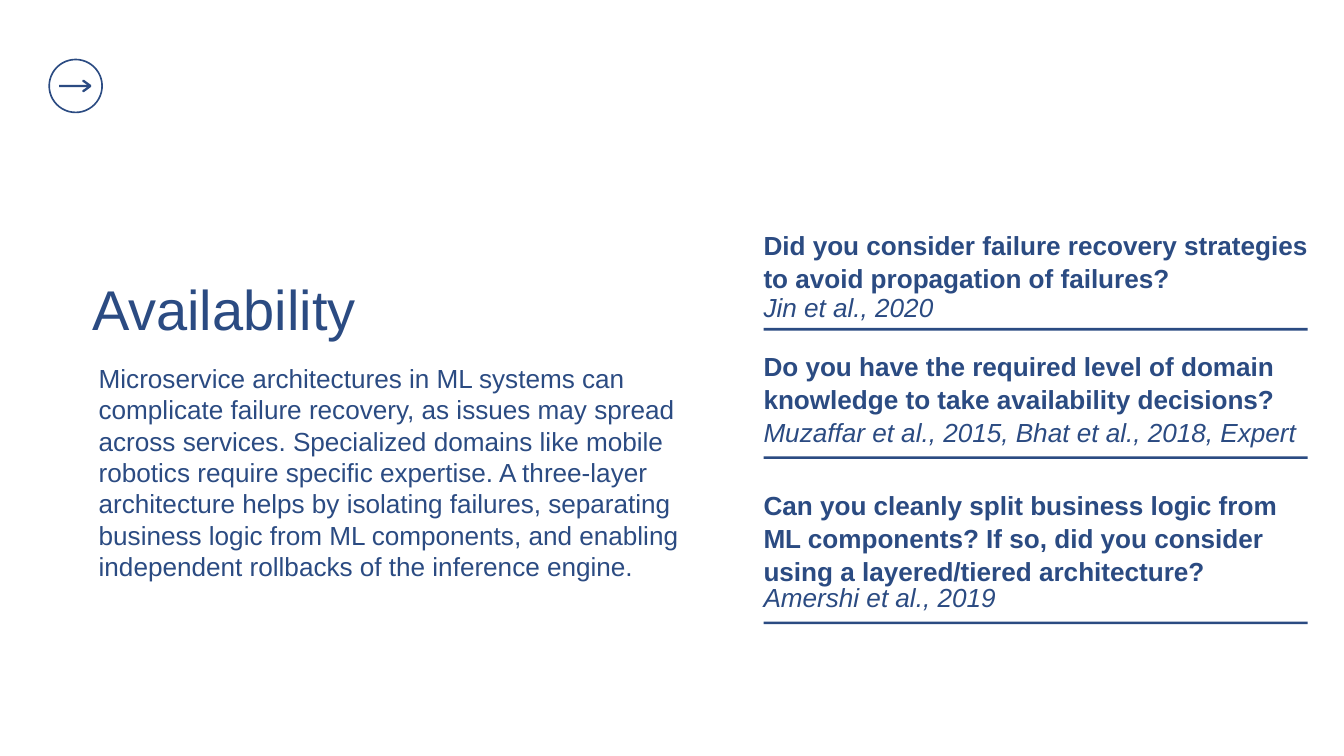
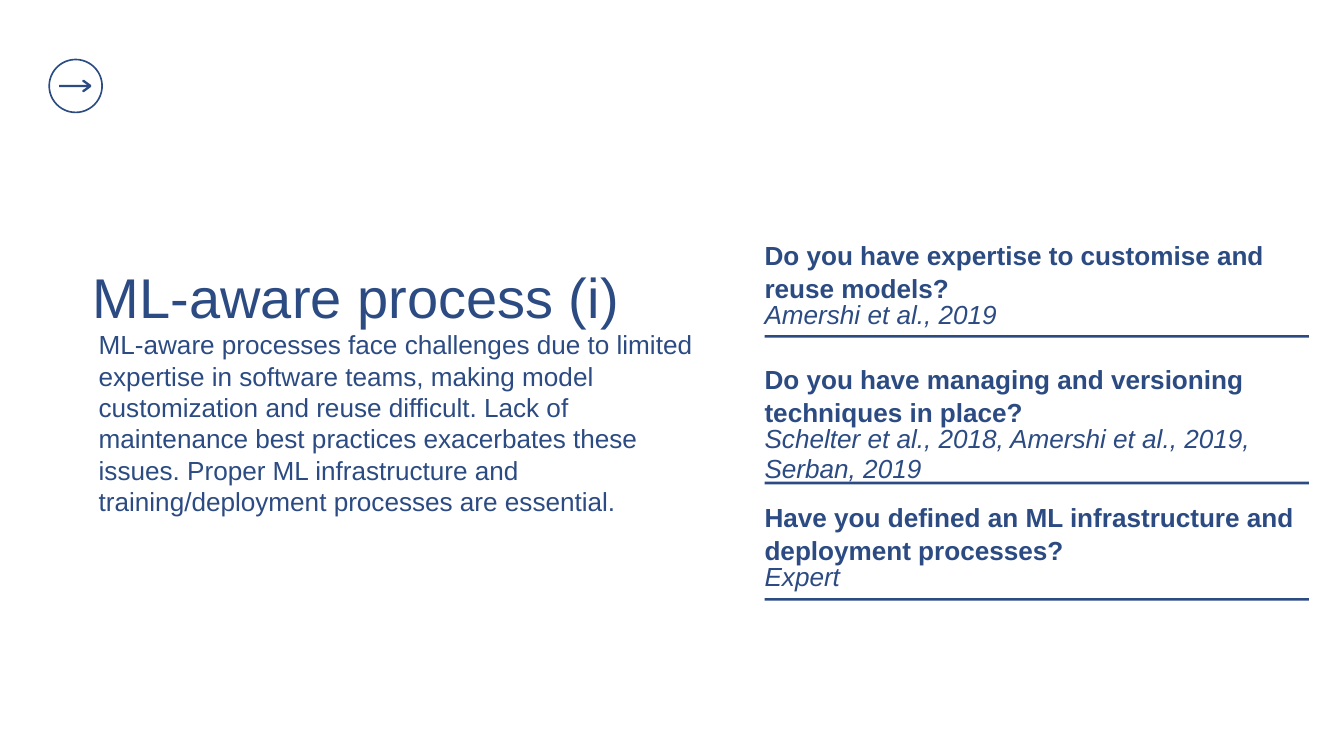
from dataclasses import dataclass

from pptx import Presentation
from pptx.dml.color import RGBColor
from pptx.enum.shapes import MSO_SHAPE
from pptx.enum.text import MSO_ANCHOR, MSO_AUTO_SIZE, PP_ALIGN
from pptx.oxml.ns import qn
from pptx.util import Cm, Pt
from lxml.etree import SubElement


@dataclass(frozen=True)
class Theme:
    font: str = "Arial"
    ink: RGBColor = RGBColor(0x2B, 0x4B, 0x82)
    paper: RGBColor = RGBColor(0xFF, 0xFF, 0xFF)
    title: int = 60
    text: int = 28
    ring: float = 1.75


@dataclass(frozen=True)
class Question:
    text: str
    lines: int
    top: float
    cite: str
    cite_lines: int
    cite_top: float
    rule_top: float


class Deck:
    COLUMN_WIDTH = 20.57

    def __init__(self, theme):
        self.theme = theme
        self.prs = Presentation()
        self.prs.slide_width = Cm(50.8)
        self.prs.slide_height = Cm(28.58)
        self.slide = None

    def add_slide(self):
        self.slide = self.prs.slides.add_slide(self.prs.slide_layouts[1])
        fill = self.slide.background.fill
        fill.solid()
        fill.fore_color.rgb = self.theme.paper
        self.icon()

    def set_text(self, sp, text, size, inset=(0, 0), bold=False, italic=False, spacing=1.0):
        tf = sp.text_frame
        tf.word_wrap = True
        tf.auto_size = MSO_AUTO_SIZE.NONE
        tf.vertical_anchor = MSO_ANCHOR.TOP
        tf.margin_left = tf.margin_right = Cm(inset[0])
        tf.margin_top = tf.margin_bottom = Cm(inset[1])
        p = tf.paragraphs[0]
        p.alignment = PP_ALIGN.LEFT
        p.line_spacing = spacing
        p.space_before = Pt(0)
        r = p.add_run()
        r.text = text
        font = r.font
        font.name = self.theme.font
        font.size = Pt(size)
        font.bold = bold
        font.italic = italic
        font.color.rgb = self.theme.ink

    def place(self, sp, left, top, width, height):
        sp.left, sp.top = Cm(left), Cm(top)
        sp.width, sp.height = Cm(width), Cm(height)

    def title(self, text, left, top):
        sp = self.slide.shapes.title
        self.place(sp, left, top, 23.14, 2.13)
        self.set_text(sp, text, self.theme.title)

    def body(self, text, top, height):
        sp = self.slide.placeholders[1]
        self.place(sp, 3.48, top, 23.72, height)
        pPr = sp.text_frame.paragraphs[0]._p.get_or_add_pPr()
        pPr.set("marL", "0")
        pPr.set("indent", "0")
        SubElement(pPr, qn("a:buNone"))
        self.set_text(sp, text, self.theme.text, inset=(0.25, 0.13))

    def text(self, text, left, top, height, **style):
        sp = self.slide.shapes.add_textbox(
            Cm(left), Cm(top), Cm(self.COLUMN_WIDTH), Cm(height))
        self.set_text(sp, text, self.theme.text, **style)

    def paint(self, sp):
        sp.shadow.inherit = False
        sp.fill.solid()
        sp.fill.fore_color.rgb = self.theme.ink
        sp.line.fill.background()

    def rule(self, left, top):
        self.paint(self.slide.shapes.add_shape(
            MSO_SHAPE.RECTANGLE, Cm(left), Cm(top), Cm(self.COLUMN_WIDTH), Cm(0.1)))

    def icon(self):
        shapes = self.slide.shapes
        middle = 3.25
        upper = [(2.24, 0.04), (3.3, 0.04), (3.12, 0.16), (3.11, 0.2),
                 (3.13, 0.23), (3.18, 0.23), (3.45, 0.03)]
        outline = [(x, middle - dy) for x, dy in upper]
        outline += [(x, middle + dy) for x, dy in reversed(upper)]
        points = [(Cm(x), Cm(y)) for x, y in outline]
        builder = shapes.build_freeform(*points[0])
        builder.add_line_segments(points[1:], close=True)
        self.paint(builder.convert_to_shape())

        ring = shapes.add_shape(MSO_SHAPE.OVAL, Cm(1.86), Cm(2.25), Cm(2), Cm(2))
        ring.shadow.inherit = False
        ring.fill.background()
        ring.line.color.rgb = self.theme.ink
        ring.line.width = Pt(self.theme.ring)

    def questions(self, left, items):
        for q in items:
            self.rule(left, q.rule_top)
            self.text(q.cite, left, q.cite_top, 0.97 * q.cite_lines,
                      italic=True, spacing=0.97)
            self.text(q.text, left, q.top, 1.03 * q.lines, bold=True, spacing=1.05)


def main():
    deck = Deck(Theme())

    deck.add_slide()
    deck.title("Availability", 3.48, 10.36)
    deck.body(
        "Microservice architectures in ML systems can complicate failure recovery, "
        "as issues may spread across services. Specialized domains like mobile "
        "robotics require specific expertise. A three-layer architecture helps by "
        "isolating failures, separating business logic from ML components, and "
        "enabling independent rollbacks of the inference engine.", 13.56, 8.64)
    deck.questions(28.86, [
        Question("Did you consider failure recovery strategies to avoid "
                 "propagation of failures?", 2, 8.61,
                 "Jin et al., 2020", 1, 11.1, 12.4),
        Question("Do you have the required level of domain knowledge to take "
                 "availability decisions?", 2, 13.18,
                 "Muzaffar et al., 2015, Bhat et al., 2018, Expert", 1, 15.8, 17.25),
        Question("Can you cleanly split business logic from ML components? If so, "
                 "did you consider using a layered/tiered architecture?", 3, 18.44,
                 "Amershi et al., 2019", 1, 22.05, 23.5),
    ])

    deck.add_slide()
    deck.title("ML-aware process (i)", 3.51, 9.93)
    deck.body(
        "ML-aware processes face challenges due to limited expertise in software "
        "teams, making model customization and reuse difficult. Lack of maintenance "
        "best practices exacerbates these issues. Proper ML infrastructure and "
        "training/deployment processes are essential.", 12.29, 7.44)
    deck.questions(28.9, [
        Question("Do you have expertise to customise and reuse models?", 2, 8.99,
                 "Amershi et al., 2019", 1, 11.33, 12.67),
        Question("Do you have managing and versioning techniques in place?", 2, 13.67,
                 "Schelter et al., 2018, Amershi et al., 2019, Serban, 2019",
                 2, 16.03, 18.21),
        Question("Have you defined an ML infrastructure and deployment processes?",
                 2, 18.9, "Expert", 1, 21.26, 22.61),
    ])

    deck.prs.save("out.pptx")


if __name__ == "__main__":
    main()
